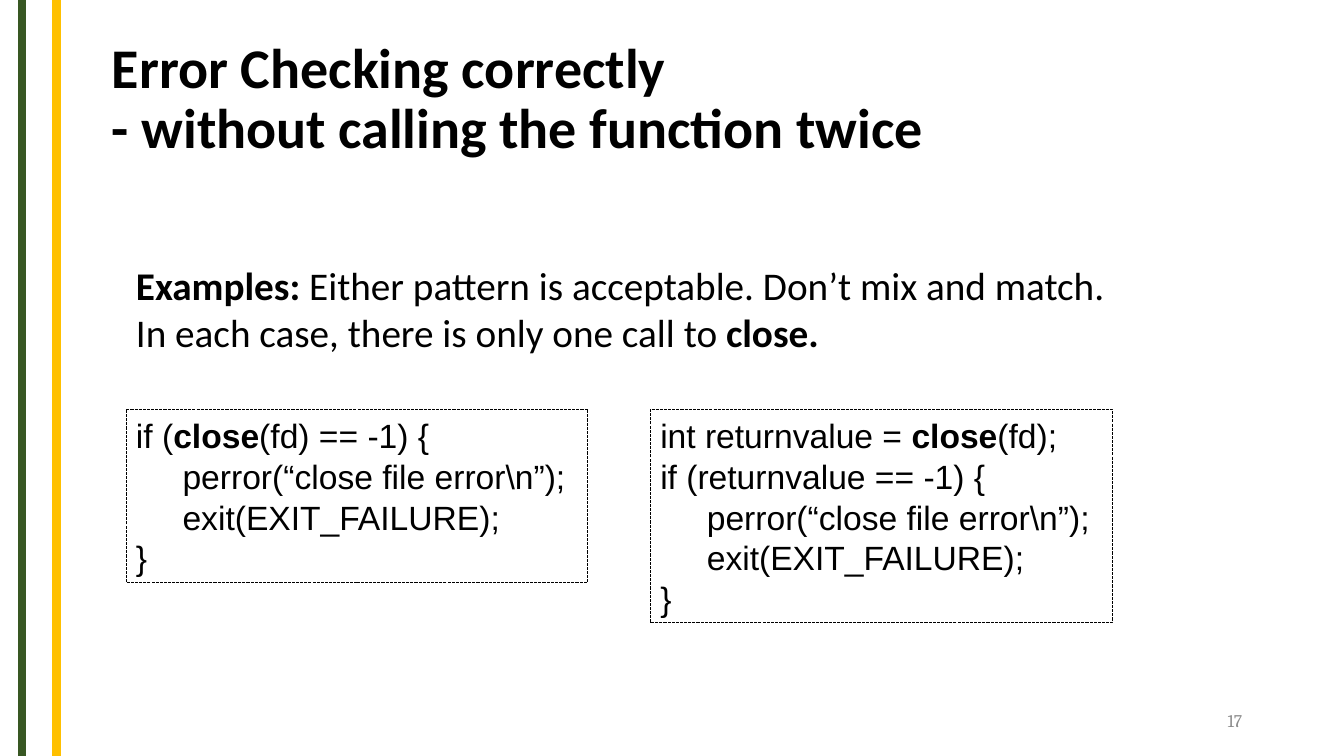
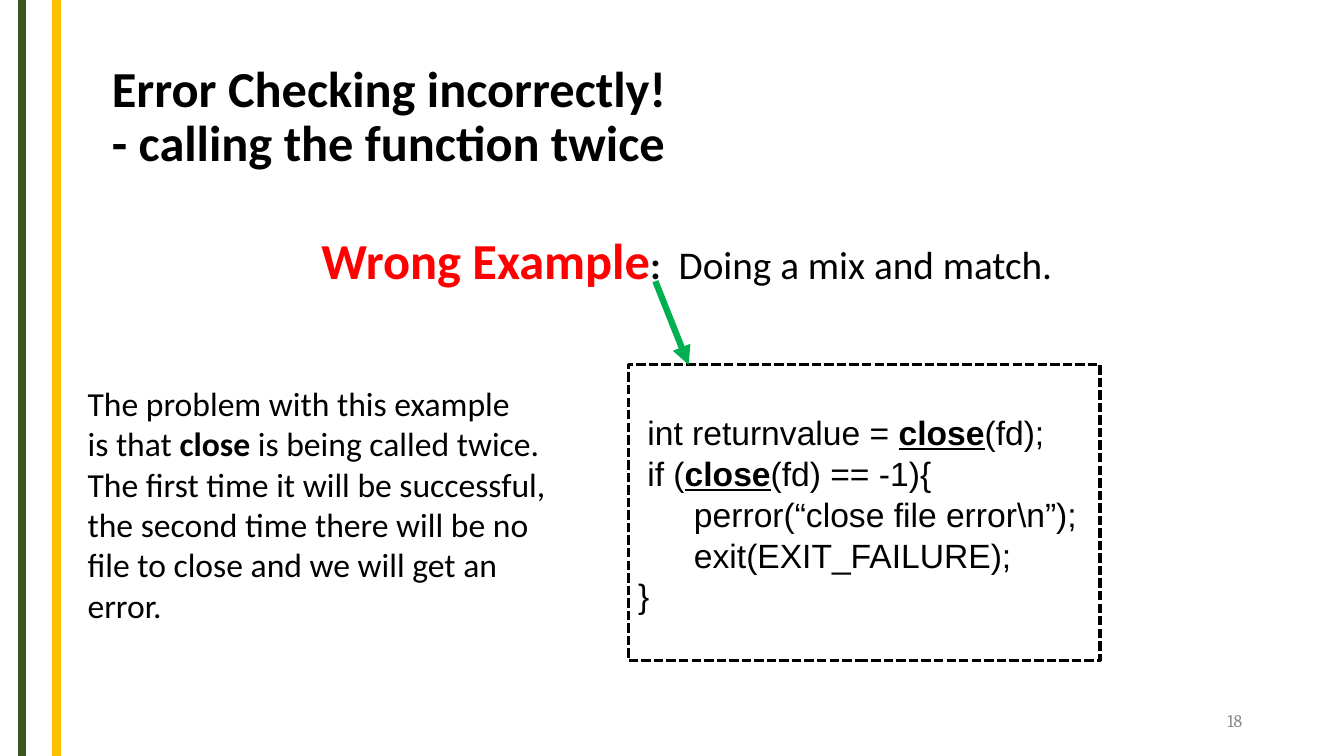
from dataclasses import dataclass
from typing import Optional

from pptx import Presentation
from pptx.dml.color import RGBColor
from pptx.enum.dml import MSO_LINE_DASH_STYLE as Dash
from pptx.enum.shapes import MSO_CONNECTOR as Connector, MSO_SHAPE as ShapeKind
from pptx.enum.text import MSO_ANCHOR as Anchor, MSO_AUTO_SIZE as AutoSize, PP_ALIGN as Align
from pptx.oxml.ns import qn
from pptx.oxml.xmlchemy import OxmlElement
from pptx.util import Emu, Pt

EMU_PER_PX = 9144  # 100 px to the inch
SLIDE_WIDTH, SLIDE_HEIGHT = 1333, 750


@dataclass(frozen=True)
class Theme:
    ink: str = "000000"
    wrong: str = "FF0000"
    arrow: str = "00B050"
    number: str = "8C8C8C"
    text_font: str = "Calibri"
    code_font: str = "Arial"
    number_font: str = "Cambria"
    wrong_size: float = 36
    lead_size: float = 28
    text_size: float = 24
    number_size: float = 12.7
    code_pitch: float = 29.2
    band_width: float = 6
    arrow_width: float = 4.5


THEME = Theme()


@dataclass(frozen=True)
class Box:
    left: int
    top: int
    width: int
    height: int


@dataclass(frozen=True)
class Line:
    start: tuple[int, int]
    end: tuple[int, int]
    color: str
    width: float
    arrow: bool = False


@dataclass(frozen=True)
class Heading:
    text: str
    box: Box
    size: float


@dataclass(frozen=True)
class CodeBox:
    text: str
    box: Box
    border: float = 0.75
    underline: Optional[bool] = None
    top_inset: int = 5


NUMBER_BOX = Box(942, 695, 300, 40)
BANDS = [Line((x, 0), (x, SLIDE_HEIGHT), color, THEME.band_width)
         for x, color in ((22, "385723"), (56, "FFC000"))]


def px(length: int) -> Emu:
    return Emu(length * EMU_PER_PX)


def place(box: Box) -> tuple[Emu, Emu, Emu, Emu]:
    return px(box.left), px(box.top), px(box.width), px(box.height)


def style(run, font: str, size: float, color: str, bold: bool = False) -> None:
    run.font.name, run.font.size, run.font.bold = font, Pt(size), bold
    run.font.color.rgb = RGBColor.from_string(color)


def write_marked(text_frame, text: str, font: str, size: float,
                 underline: Optional[bool] = None) -> None:
    """Write one paragraph a line; parts between asterisks are bold."""
    text_frame.word_wrap = True
    text_frame.auto_size = AutoSize.NONE
    text_frame.text = "\n" * text.count("\n")
    for paragraph, line in zip(text_frame.paragraphs, text.split("\n")):
        paragraph.alignment = Align.LEFT
        for index, part in enumerate(line.split("*")):
            if part:
                run = paragraph.add_run()
                run.text = part
                bold = index % 2 == 1
                style(run, font, size, THEME.ink, bold)
                run.font.underline = underline if bold else None


def add_line(slide, line: Line):
    connector = slide.shapes.add_connector(
        Connector.STRAIGHT, *map(px, line.start + line.end))
    connector.line.color.rgb = RGBColor.from_string(line.color)
    connector.line.width = Pt(line.width)
    properties = connector.element.spPr
    if line.arrow:
        head = OxmlElement("a:tailEnd")
        head.set("type", "triangle")
        properties.find(qn("a:ln")).append(head)
    properties.append(OxmlElement("a:effectLst"))
    return connector


def move_bands_to_master(presentation, slide) -> None:
    """Draw the bands and hand them to the master, so that all slides share them."""
    for number, band in enumerate(BANDS, start=101):
        element = add_line(slide, band).element
        element.find(qn("p:nvCxnSpPr")).find(qn("p:cNvPr")).set("id", str(number))
        presentation.slide_master.shapes.element.append(element)


def add_text(slide, box: Box, text: str, size: float):
    shape = slide.shapes.add_textbox(*place(box))
    write_marked(shape.text_frame, text, THEME.text_font, size)
    return shape


def add_code(slide, code: CodeBox) -> None:
    shape = slide.shapes.add_shape(ShapeKind.RECTANGLE, *place(code.box))
    shape.shadow.inherit = False
    shape.fill.background()
    shape.line.color.rgb = RGBColor.from_string(THEME.ink)
    shape.line.width = Pt(code.border)
    shape.line.dash_style = Dash.SQUARE_DOT
    text_frame = shape.text_frame
    text_frame.vertical_anchor = Anchor.TOP
    text_frame.margin_top = px(code.top_inset)
    write_marked(text_frame, code.text, THEME.code_font, THEME.text_size, code.underline)
    for paragraph in text_frame.paragraphs:
        paragraph.line_spacing = Pt(THEME.code_pitch)


def add_slide(presentation, heading: Heading, number: int):
    slide = presentation.slides.add_slide(presentation.slide_layouts.get_by_name("Title Only"))
    # Title
    title = slide.shapes.title
    title.left, title.top, title.width, title.height = place(heading.box)
    text_frame = title.text_frame
    text_frame.text = heading.text
    text_frame.auto_size = AutoSize.NONE
    text_frame.vertical_anchor = Anchor.MIDDLE
    for paragraph in text_frame.paragraphs:
        paragraph.alignment = Align.LEFT
        paragraph.line_spacing = 0.9
        style(paragraph.runs[0], THEME.text_font, heading.size, THEME.ink, bold=True)
    # Slide number
    text_frame = slide.shapes.add_textbox(*place(NUMBER_BOX)).text_frame
    text_frame.word_wrap = True
    text_frame.vertical_anchor = Anchor.MIDDLE
    text_frame.text = str(number)
    paragraph = text_frame.paragraphs[0]
    paragraph.alignment = Align.RIGHT
    style(paragraph.runs[0], THEME.number_font, THEME.number_size, THEME.number)
    return slide


def build_correct(presentation):
    heading = Heading("Error Checking correctly\n- without calling the function twice",
                      Box(101, 27, 1183, 145), 40)
    slide = add_slide(presentation, heading, 17)
    # Two accepted patterns
    add_code(slide, CodeBox("""if (*close*(fd) == -1) {
     perror(“close file error\\n”);
     exit(EXIT_FAILURE);
}""", Box(125, 406, 458, 172)))
    add_code(slide, CodeBox("""int returnvalue = *close*(fd);
if (returnvalue == -1) {
     perror(“close file error\\n”);
     exit(EXIT_FAILURE);
}""", Box(645, 406, 458, 212)))
    # Lead text
    add_text(slide, Box(125, 254, 1038, 104),
             "*Examples: *Either pattern is acceptable. Don’t mix and match.\n"
             "In each case, there is only one call to *close.*", THEME.lead_size)
    return slide


def build_incorrect(presentation) -> None:
    heading = Heading("Error Checking incorrectly!\n- calling the function twice",
                      Box(101, 52, 1183, 130), 36)
    slide = add_slide(presentation, heading, 18)
    # Faulty code
    add_code(slide, CodeBox(""" int returnvalue = *close*(fd);
 if (*close*(fd) == -1){
      perror(“close file error\\n”);
      exit(EXIT_FAILURE);
}""", Box(623, 362, 468, 293), border=2.25, underline=True, top_inset=46))
    # Lead text
    lead = add_text(slide, Box(309, 222, 1038, 71),
                    "*Wrong Example**:  *Doing a mix and match.", THEME.lead_size)
    style(lead.text_frame.paragraphs[0].runs[0], THEME.text_font,
          THEME.wrong_size, THEME.wrong, bold=True)
    # Explanation
    add_text(slide, Box(77, 375, 479, 252), """The problem with this example
is that *close* is being called twice.
The first time it will be successful,
the second time there will be no
file to close and we will get an
error.""", THEME.text_size)
    # Arrow from the lead to the code
    add_line(slide, Line((650, 279), (683, 362), THEME.arrow, THEME.arrow_width, arrow=True))


def main() -> None:
    presentation = Presentation()
    presentation.slide_width, presentation.slide_height = px(SLIDE_WIDTH), px(SLIDE_HEIGHT)
    first_slide = build_correct(presentation)
    move_bands_to_master(presentation, first_slide)
    build_incorrect(presentation)
    presentation.save("out.pptx")


if __name__ == "__main__":
    main()
